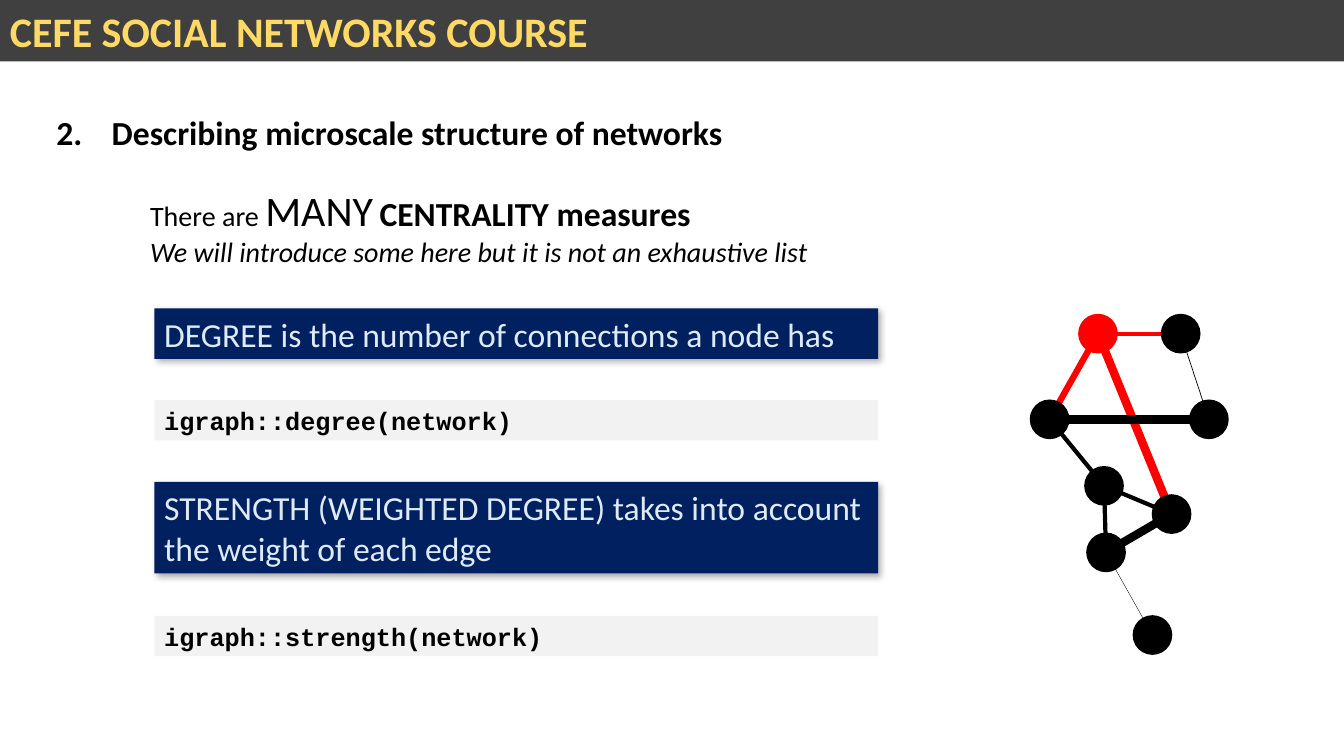
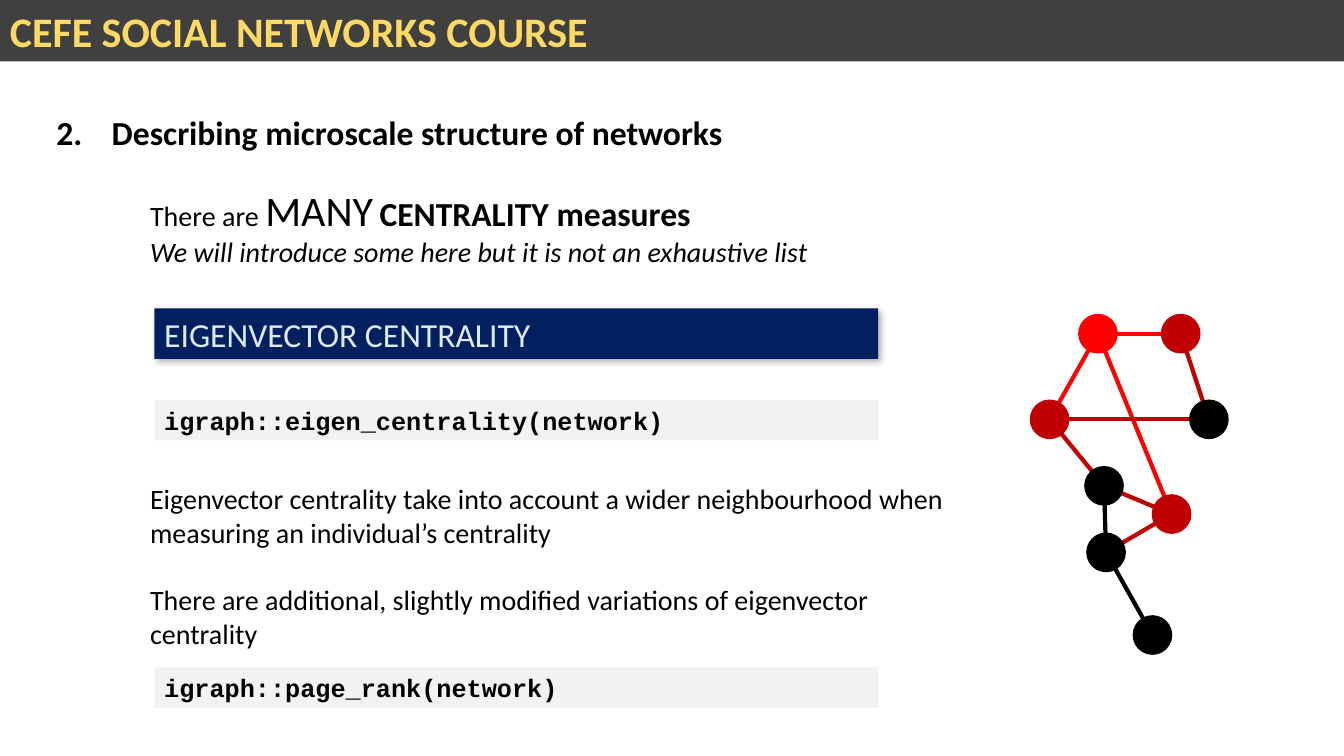
from dataclasses import dataclass

from lxml import etree
from pptx import Presentation
from pptx.dml.color import RGBColor
from pptx.enum.shapes import MSO_CONNECTOR, MSO_SHAPE
from pptx.enum.text import MSO_ANCHOR, PP_ALIGN
from pptx.oxml.ns import qn
from pptx.util import Inches, Pt

RECTANGLE = MSO_SHAPE.RECTANGLE
OVAL = MSO_SHAPE.OVAL
STRAIGHT = MSO_CONNECTOR.STRAIGHT
LEFT = PP_ALIGN.LEFT
MIDDLE = MSO_ANCHOR.MIDDLE

BLACK = RGBColor(0x00, 0x00, 0x00)
RED = RGBColor(0xFF, 0x00, 0x00)
DARK_RED = RGBColor(0xC0, 0x00, 0x00)
CHARCOAL = RGBColor(0x40, 0x40, 0x40)
GOLD = RGBColor(0xFF, 0xD9, 0x66)
NAVY = RGBColor(0x00, 0x20, 0x60)
PALE_BLUE = RGBColor(0xDE, 0xEB, 0xF7)
LIGHT_GREY = RGBColor(0xF2, 0xF2, 0xF2)

BODY_FONT = "Calibri"
CODE_FONT = "Courier New"
SLIDE_WIDTH, SLIDE_HEIGHT = 13.33, 7.5
PANEL_LEFT, PANEL_WIDTH = 1.53, 7.18
TEXT_LEFT = 1.39
NODE_SIZE = 0.38

# Centre of every node in the example network
NODE_CENTRES = {
    "A": (10.89, 3.31), "B": (11.71, 3.31), "C": (10.41, 4.16), "D": (11.99, 4.16),
    "E": (10.95, 4.82), "F": (11.62, 5.1), "G": (10.97, 5.48), "H": (11.43, 6.3),
}


@dataclass(frozen=True)
class TextStyle:
    size: float
    color: RGBColor = BLACK
    bold: bool = False
    italic: bool = False
    font: str = BODY_FONT


@dataclass(frozen=True)
class Panel:
    text: str
    top: float
    height: float
    fill: RGBColor
    style: TextStyle
    shadow: bool = False


@dataclass(frozen=True)
class Edge:
    nodes: str
    color: RGBColor = BLACK
    width: float = 3


HEADER = TextStyle(30, GOLD, bold=True)
HEADING = TextStyle(24, bold=True)
BODY = TextStyle(20)
DEFINITION = TextStyle(24, PALE_BLUE)
CODE = TextStyle(18, bold=True, font=CODE_FONT)


def definition(text: str, top: float, height: float = 0.5) -> Panel:
    return Panel(text, top, height, NAVY, DEFINITION, shadow=True)


def code(text: str, top: float) -> Panel:
    return Panel(text, top, 0.4, LIGHT_GREY, CODE)


def format_run(run, style: TextStyle) -> None:
    font = run.font
    font.name, font.size = style.font, Pt(style.size)
    font.bold, font.italic = style.bold, style.italic
    font.color.rgb = style.color


def write(paragraph, *parts: tuple[str, TextStyle]) -> None:
    paragraph.alignment = LEFT
    for text, style in parts:
        run = paragraph.add_run()
        run.text = text
        format_run(run, style)


def add_text_box(slide, left: float, top: float, width: float, height: float):
    box = slide.shapes.add_textbox(Inches(left), Inches(top), Inches(width), Inches(height))
    box.text_frame.word_wrap = True
    return box.text_frame


def add_filled(shapes, kind, left: float, top: float, width: float, height: float, fill: RGBColor):
    shape = shapes.add_shape(kind, Inches(left), Inches(top), Inches(width), Inches(height))
    shape.shadow.inherit = False
    shape.fill.solid()
    shape.fill.fore_color.rgb = fill
    shape.line.fill.background()
    return shape


def add_soft_shadow(shape) -> None:
    effects = shape._element.spPr.find(qn("a:effectLst"))
    shadow = etree.SubElement(effects, qn("a:outerShdw"), blurRad=str(Pt(4.5)),
                              dist=str(Pt(2.6)), dir=str(53 * 60000))
    color = etree.SubElement(shadow, qn("a:srgbClr"), val=str(BLACK))
    etree.SubElement(color, qn("a:alpha"), val="30000")


def add_band(slide, left: float, width: float, panel: Panel) -> None:
    shape = add_filled(slide.shapes, RECTANGLE, left, panel.top, width, panel.height, panel.fill)
    if panel.shadow:
        add_soft_shadow(shape)
    frame = shape.text_frame
    frame.word_wrap = True
    frame.vertical_anchor = MIDDLE
    write(frame.paragraphs[0], (panel.text, panel.style))


def add_network(slide, edges: list[Edge], node_colors: dict[str, RGBColor]) -> None:
    shapes = slide.shapes.add_group_shape().shapes
    for edge in edges:
        (x1, y1), (x2, y2) = (NODE_CENTRES[name] for name in edge.nodes)
        link = shapes.add_connector(STRAIGHT, Inches(x1), Inches(y1), Inches(x2), Inches(y2))
        link.line.color.rgb = edge.color
        link.line.width = Pt(edge.width)
        etree.SubElement(link._element.spPr, qn("a:effectLst"))
    for name, (x, y) in NODE_CENTRES.items():
        color = node_colors.get(name, BLACK)
        node = add_filled(shapes, OVAL, x - NODE_SIZE / 2, y - NODE_SIZE / 2,
                          NODE_SIZE, NODE_SIZE, color)
        node.line.color.rgb = color
        node.line.width = Pt(1)


def add_course_slide(prs, panels: list[Panel]):
    slide = prs.slides.add_slide(prs.slide_layouts[6])
    # Course band
    add_band(slide, 0, SLIDE_WIDTH, Panel("CEFE SOCIAL NETWORKS COURSE", 0, 0.61, CHARCOAL, HEADER))
    # Numbered section heading
    heading = add_text_box(slide, 0.46, 1.06, 7.79, 0.5).paragraphs[0]
    tabs = etree.SubElement(heading._p.get_or_add_pPr(), qn("a:tabLst"))
    etree.SubElement(tabs, qn("a:tab"), pos=str(Inches(0.55)), algn="l")
    write(heading, ("2.\tDescribing microscale structure of networks", HEADING))
    # Introduction
    intro = add_text_box(slide, TEXT_LEFT, 1.78, 10.78, 1.28)
    write(intro.paragraphs[0], ("There are ", BODY), ("MANY", TextStyle(30)),
          (" ", BODY), ("CENTRALITY measures", HEADING))
    write(intro.add_paragraph(),
          ("We will introduce some here but it is not an exhaustive list",
           TextStyle(20, italic=True)))
    # Definitions and code
    for panel in panels:
        add_band(slide, PANEL_LEFT, PANEL_WIDTH, panel)
    return slide


def build_degree_slide(prs) -> None:
    slide = add_course_slide(prs, [
        definition("DEGREE is the number of connections a node has", 3.06),
        code("igraph::degree(network)", 3.97),
        definition("STRENGTH (WEIGHTED DEGREE) takes into account the weight of each edge",
                   4.78, 0.91),
        code("igraph::strength(network)", 6.11),
    ])
    # Edge width shows weight
    add_network(slide, [
        Edge("CA", RED, 4.5), Edge("BA", RED), Edge("AF", RED, 6), Edge("CD", width=6),
        Edge("BD", width=0.5), Edge("CE"), Edge("EG"), Edge("EF"),
        Edge("GF", width=6), Edge("GH", width=0.25),
    ], {"A": RED})


def build_eigenvector_slide(prs) -> None:
    slide = add_course_slide(prs, [
        definition("EIGENVECTOR CENTRALITY", 3.06),
        code("igraph::eigen_centrality(network)", 3.97),
        code("igraph::page_rank(network)", 6.62),
    ])
    # Explanation
    explanation = add_text_box(slide, TEXT_LEFT, 4.73, 8.27, 1.78)
    write(explanation.paragraphs[0],
          ("Eigenvector centrality take into account a wider neighbourhood when "
           "measuring an individual’s centrality", BODY))
    variations = explanation.add_paragraph()
    variations.space_before = Pt(24)
    write(variations, ("There are additional, slightly modified variations of eigenvector "
                       "centrality", BODY))
    # Colour spreads from the focal node to its neighbours
    add_network(slide, [
        *(Edge(pair, RED) for pair in ("CA", "BA", "AF")),
        *(Edge(pair, DARK_RED) for pair in ("CD", "BD", "CE", "EF", "GF")),
        Edge("EG"), Edge("GH"),
    ], {"A": RED, "B": DARK_RED, "C": DARK_RED, "F": DARK_RED})


def main() -> None:
    prs = Presentation()
    prs.slide_width, prs.slide_height = Inches(SLIDE_WIDTH), Inches(SLIDE_HEIGHT)
    build_degree_slide(prs)
    build_eigenvector_slide(prs)
    prs.save("out.pptx")


if __name__ == "__main__":
    main()
